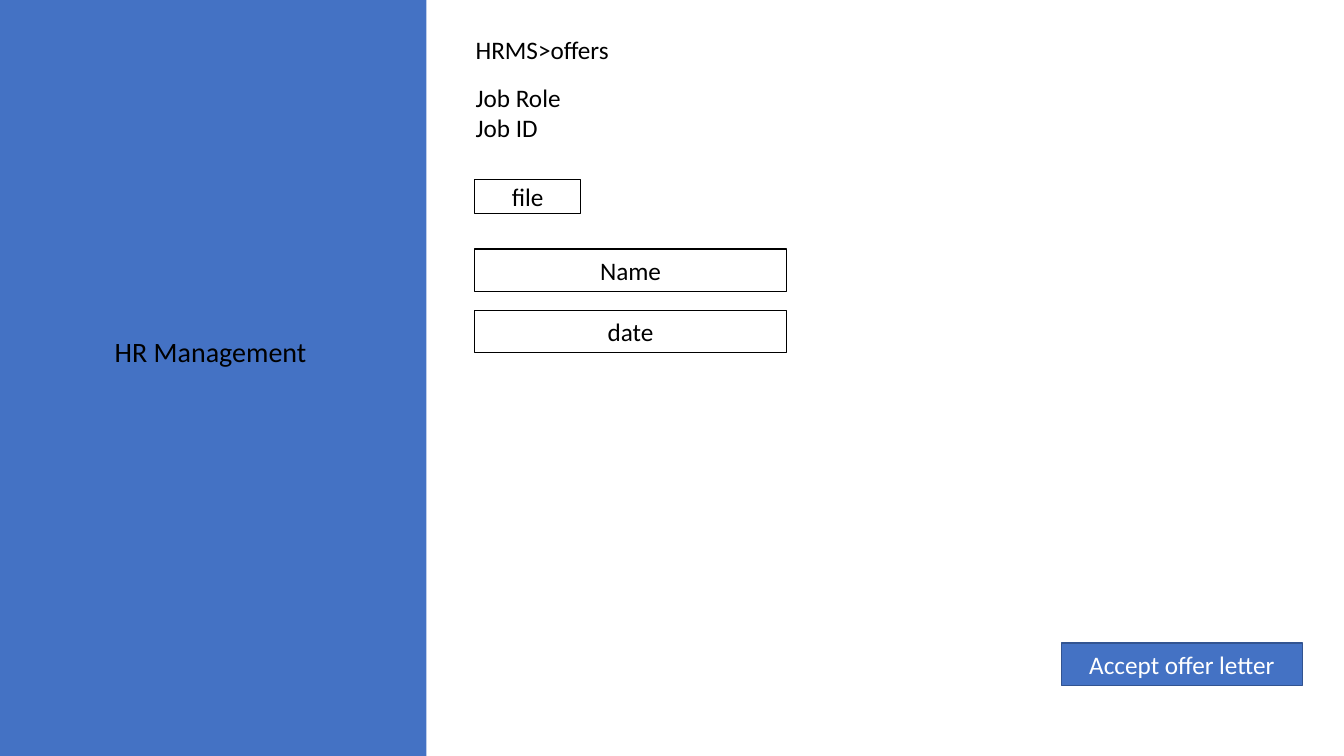
import pptx
import pptx.util
import pptx.dml.color
import pptx.enum.shapes
import pptx.enum.text

WIDTH, HEIGHT = 13.33, 7.5
BLUE, DARK_BLUE, BLACK, WHITE = "4472C4", "325491", "000000", "FFFFFF"
CENTER = pptx.enum.text.PP_ALIGN.CENTER
LEFT = pptx.enum.text.PP_ALIGN.LEFT

TEXT_LEFT = 34.65
FIELD_LEFT, FIELD_TOP, FIELD_STEP = 35.33, 32.93, 8.13
FIELD_WIDTH, FIELD_HEIGHT = 23.18, 5.6


def color(value):
    return pptx.dml.color.RGBColor.from_string(value)


def place(left, top, width, height):
    across, down = WIDTH / 100, HEIGHT / 100
    return [pptx.util.Inches(length) for length in
            (left * across, top * down, width * across, height * down)]


def write(box, lines, size, ink, align, spacing=None):
    frame = box.text_frame
    frame.word_wrap = True
    frame.text = "\n".join(lines)
    for para in frame.paragraphs:
        para.alignment = align
        para.line_spacing = spacing
        para.font.name = "Calibri"
        para.font.size = pptx.util.Pt(size)
        para.font.color.rgb = color(ink)


def add_text(page, area, lines, size=18, align=LEFT, spacing=None):
    box = page.shapes.add_textbox(*place(*area))
    write(box, lines, size, BLACK, align, spacing)


def add_panel(page, area, fill):
    panel = page.shapes.add_shape(
        pptx.enum.shapes.MSO_SHAPE.RECTANGLE, *place(*area))
    panel.shadow.inherit = False
    panel.fill.solid()
    panel.fill.fore_color.rgb = color(fill)
    panel.line.fill.background()
    return panel


def add_control(page, area, label, fill=WHITE, border=BLACK, ink=BLACK):
    control = add_panel(page, area, fill)
    control.line.color.rgb = color(border)
    control.line.width = pptx.util.Pt(1)
    control.text_frame.vertical_anchor = pptx.enum.text.MSO_ANCHOR.MIDDLE
    write(control, [label], 18, ink, CENTER)


def main():
    deck = pptx.Presentation()
    deck.slide_width = pptx.util.Inches(WIDTH)
    deck.slide_height = pptx.util.Inches(HEIGHT)
    page = deck.slides.add_slide(deck.slide_layouts[6])

    add_panel(page, (0, 0, 31.73, 100), BLUE)
    add_text(page, (2.55, 44.13, 26.25, 24.53), ["HR Management"],
             size=20, align=CENTER, spacing=0.9)
    add_text(page, (TEXT_LEFT, 3.87, 25, 5.33), ["HRMS>offers"])
    add_text(page, (TEXT_LEFT, 10.27, 22.5, 9.47), ["Job Role", "Job ID"])

    add_control(page, (FIELD_LEFT, 23.73, 7.88, 4.53), "file")
    add_control(page, (78.98, 85.07, 17.92, FIELD_HEIGHT),
                "Accept offer letter", BLUE, DARK_BLUE, WHITE)
    for row, label in enumerate(["Name", "date"]):
        top = FIELD_TOP + row * FIELD_STEP
        add_control(page, (FIELD_LEFT, top, FIELD_WIDTH, FIELD_HEIGHT), label)

    deck.save("out.pptx")


if __name__ == "__main__":
    main()
